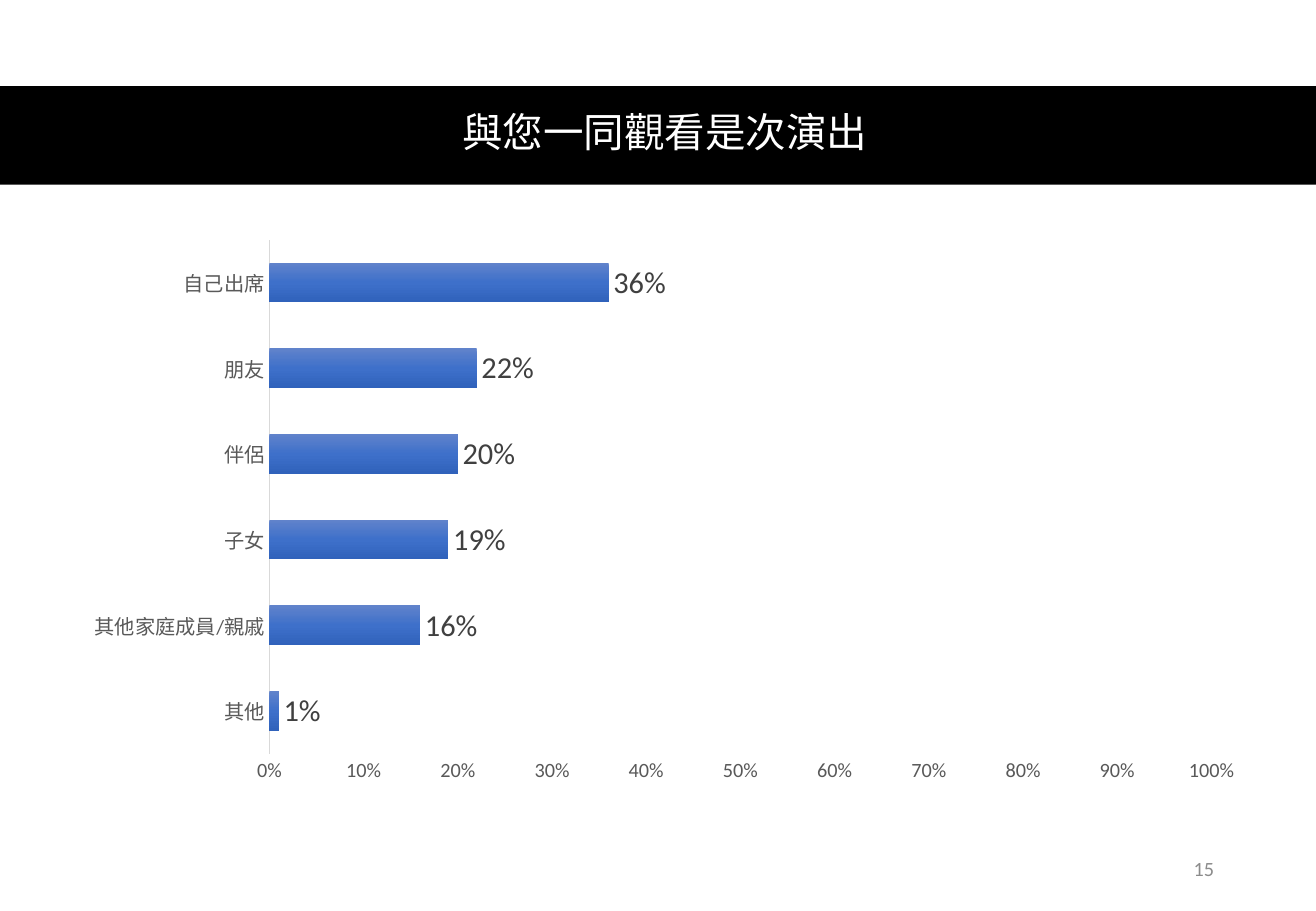
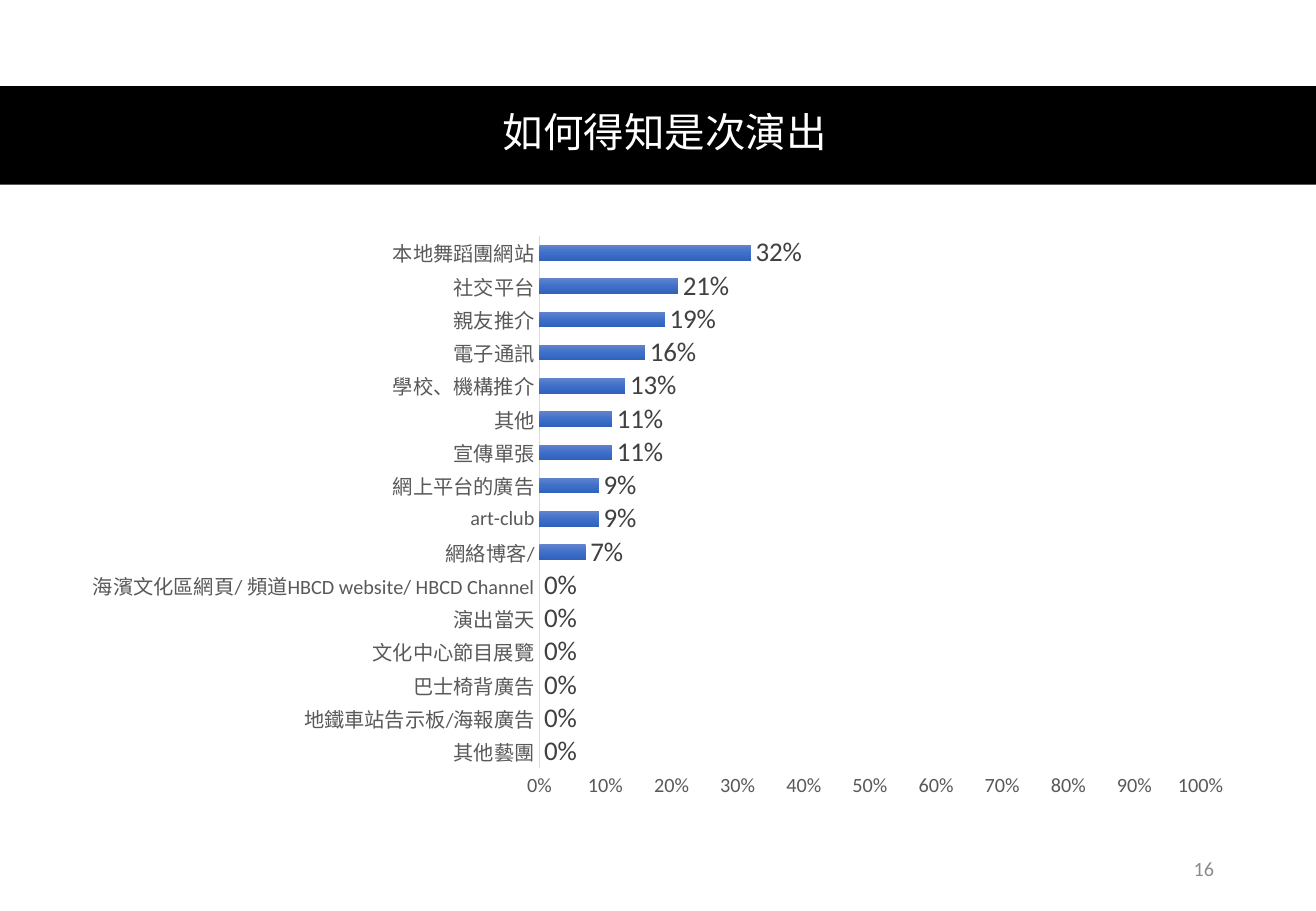
from pptx import Presentation
from pptx.chart.data import CategoryChartData
from pptx.dml.color import RGBColor
from pptx.enum.chart import XL_CHART_TYPE, XL_LABEL_POSITION, XL_TICK_MARK
from pptx.enum.shapes import MSO_SHAPE
from pptx.enum.text import MSO_ANCHOR, MSO_AUTO_SIZE, PP_ALIGN
from pptx.oxml import parse_xml
from pptx.oxml.ns import nsdecls
from pptx.util import Inches, Pt

BAR_CLUSTERED = XL_CHART_TYPE.BAR_CLUSTERED
OUTSIDE_END = XL_LABEL_POSITION.OUTSIDE_END
NO_TICKS = XL_TICK_MARK.NONE
RECTANGLE = MSO_SHAPE.RECTANGLE
MIDDLE = MSO_ANCHOR.MIDDLE
NO_AUTOFIT = MSO_AUTO_SIZE.NONE
CENTER, RIGHT = PP_ALIGN.CENTER, PP_ALIGN.RIGHT

SLIDE_WIDTH, SLIDE_HEIGHT = 10.83, 7.5
TITLE_FONT, BODY_FONT = "Roboto", "Calibri"
BLACK, WHITE = "000000", "FFFFFF"
AXIS_TEXT, AXIS_LINE = "595959", "D9D9D9"
LABEL_TEXT, PAGE_TEXT = "404040", "8C8C8C"
BAR_STOPS = [(0, "6183CB"), (50, "3E70CA"), (100, "3062BB")]

COMPANIONS = [
    ("自己出席", 0.36),
    ("朋友", 0.22),
    ("伴侶", 0.2),
    ("子女", 0.19),
    ("其他家庭成員/親戚", 0.16),
    ("其他", 0.01),
]
SOURCES = [
    ("本地舞蹈團網站", 0.32),
    ("社交平台", 0.21),
    ("親友推介", 0.19),
    ("電子通訊", 0.16),
    ("學校、機構推介", 0.13),
    ("其他", 0.11),
    ("宣傳單張", 0.11),
    ("網上平台的廣告", 0.09),
    ("art-club", 0.09),
    ("網絡博客/", 0.07),
    ("海濱文化區網頁/ 頻道HBCD website/ HBCD Channel", 0),
    ("演出當天", 0),
    ("文化中心節目展覽", 0),
    ("巴士椅背廣告", 0),
    ("地鐵車站告示板/海報廣告", 0),
    ("其他藝團", 0),
]


def color(value):
    return RGBColor.from_string(value)


def set_font(font, name, size, value):
    font.name = name
    font.size = Pt(size)
    font.bold = False
    font.color.rgb = color(value)


def place(shape, left, top, width, height):
    shape.left, shape.top = Inches(left), Inches(top)
    shape.width, shape.height = Inches(width), Inches(height)


def write_line(shape, text, align, name, size, value):
    frame = shape.text_frame
    frame.text = text
    frame.word_wrap = True
    frame.auto_size = NO_AUTOFIT
    frame.vertical_anchor = MIDDLE
    para = frame.paragraphs[0]
    para.alignment = align
    set_font(para.font, name, size, value)
    return para


def add_title(page, text):
    title = page.shapes.title
    band = page.shapes.add_shape(RECTANGLE, 0, Inches(0.71), Inches(SLIDE_WIDTH), Inches(0.81))
    band.shadow.inherit = False
    band.fill.solid()
    band.fill.fore_color.rgb = color(BLACK)
    band.line.fill.background()
    title._element.addprevious(band._element)
    place(title, 0.49, 0.7, 9.96, 0.81)
    write_line(title, text, CENTER, TITLE_FONT, 24, WHITE).line_spacing = 0.9


def add_page_number(page, number):
    box = page.shapes.add_textbox(Inches(7.65), Inches(6.95), Inches(2.44), Inches(0.4))
    write_line(box, str(number), RIGHT, BODY_FONT, 12, PAGE_TEXT)


def fill_bars(series):
    series.format.fill.gradient()
    stops = "".join(
        f'<a:gs pos="{percent * 1000}"><a:srgbClr val="{value}"/></a:gs>'
        for percent, value in BAR_STOPS
    )
    gradient = parse_xml(
        f'<a:gradFill {nsdecls("a")} rotWithShape="1"><a:gsLst>{stops}</a:gsLst>'
        '<a:lin ang="5400000" scaled="0"/></a:gradFill>'
    )
    old = series._element.xpath("./c:spPr/a:gradFill")[0]
    old.getparent().replace(old, gradient)


def set_plot_area(chart, left, top, width, height):
    parts = "".join(
        f'<c:{tag} val="{value}"/>'
        for tag, value in [
            ("layoutTarget", "inner"), ("xMode", "edge"), ("yMode", "edge"),
            ("x", left), ("y", top), ("w", width), ("h", height),
        ]
    )
    layout = parse_xml(
        f'<c:layout {nsdecls("c")}><c:manualLayout>{parts}</c:manualLayout></c:layout>'
    )
    area = chart._chartSpace.chart.plotArea
    for old in area.xpath("./c:layout"):
        area.remove(old)
    area.insert(0, layout)


def style_axis(axis):
    axis.has_major_gridlines = False
    axis.major_tick_mark = NO_TICKS
    axis.minor_tick_mark = NO_TICKS
    set_font(axis.tick_labels.font, BODY_FONT, 12, AXIS_TEXT)


def add_bar_chart(page, top, answers, label_size, plot_area):
    data = CategoryChartData(number_format="0%")
    names, shares = zip(*reversed(answers))
    data.categories = names
    data.add_series("Series 1", shares)
    chart = page.shapes.add_chart(
        BAR_CLUSTERED, Inches(0.57), Inches(top), Inches(9.69), Inches(4.81), data
    ).chart
    chart.has_title = False
    chart.has_legend = False
    set_font(chart.font, BODY_FONT, 10, BLACK)

    style_axis(chart.category_axis)
    line = chart.category_axis.format.line
    line.color.rgb = color(AXIS_LINE)
    line.width = Pt(1)
    shares_axis = chart.value_axis
    style_axis(shares_axis)
    shares_axis.minimum_scale, shares_axis.maximum_scale = 0, 1
    shares_axis.major_unit = 0.1
    shares_axis.tick_labels.number_format = "0%"
    shares_axis.tick_labels.number_format_is_linked = False
    shares_axis.format.line.fill.background()

    plot = chart.plots[0]
    plot.vary_by_categories = False
    plot.gap_width = 115
    plot.overlap = -20
    fill_bars(plot.series[0])
    plot.has_data_labels = True
    labels = plot.data_labels
    labels.show_value = True
    labels.position = OUTSIDE_END
    labels.number_format = "0%"
    labels.number_format_is_linked = False
    set_font(labels.font, BODY_FONT, label_size, LABEL_TEXT)
    if plot_area:
        set_plot_area(chart, *plot_area)


def add_survey_page(deck, number, title, top, answers, label_size, plot_area=None):
    page = deck.slides.add_slide(deck.slide_layouts[5])
    add_title(page, title)
    add_bar_chart(page, top, answers, label_size, plot_area)
    add_page_number(page, number)


def main():
    deck = Presentation()
    deck.slide_width = Inches(SLIDE_WIDTH)
    deck.slide_height = Inches(SLIDE_HEIGHT)
    add_survey_page(
        deck, 15, "與您一同觀看是次演出", 1.83, COMPANIONS, 18, (0.17, 0.03, 0.8, 0.88)
    )
    add_survey_page(deck, 16, "如何得知是次演出", 1.85, SOURCES, 16)
    deck.save("out.pptx")


if __name__ == "__main__":
    main()
